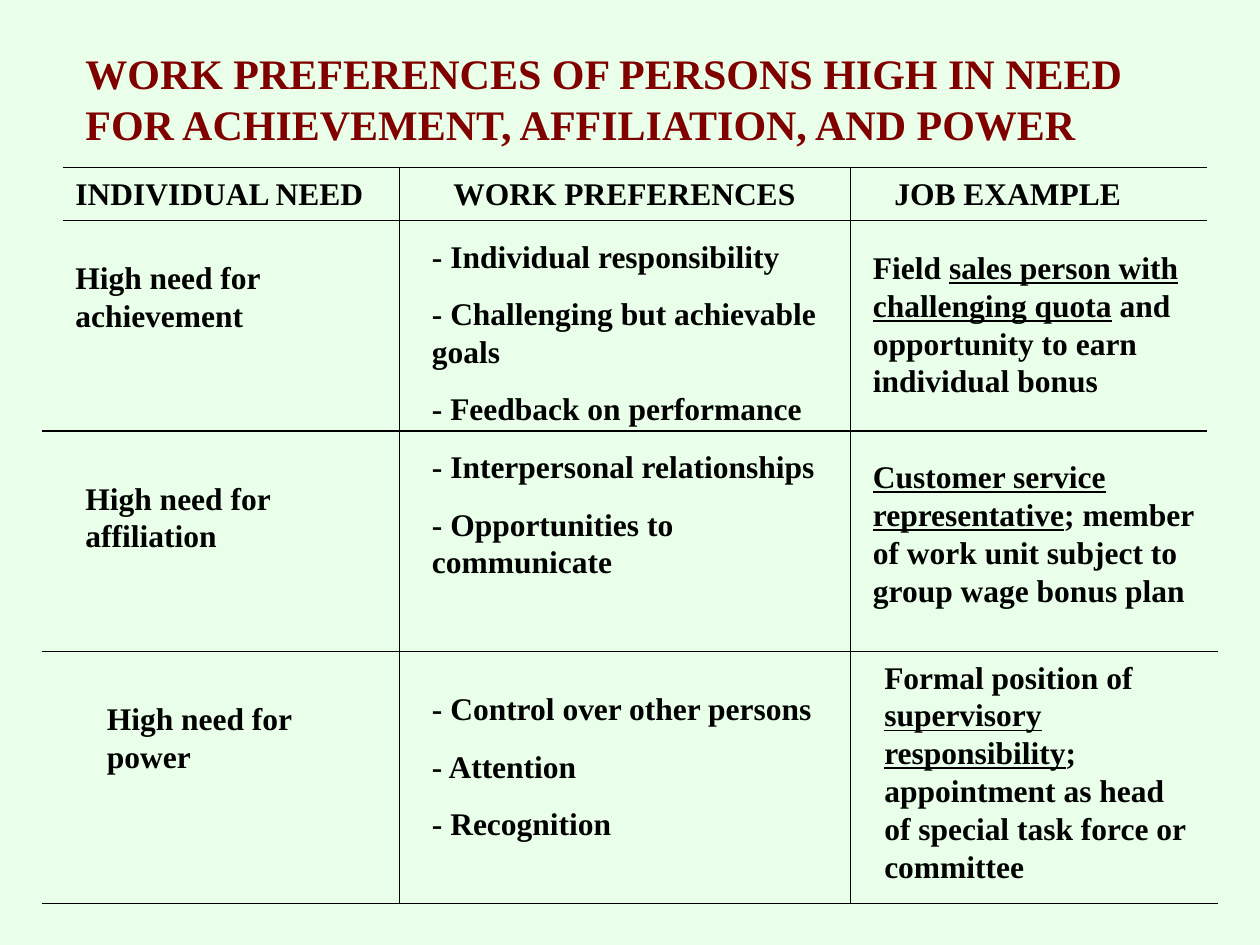
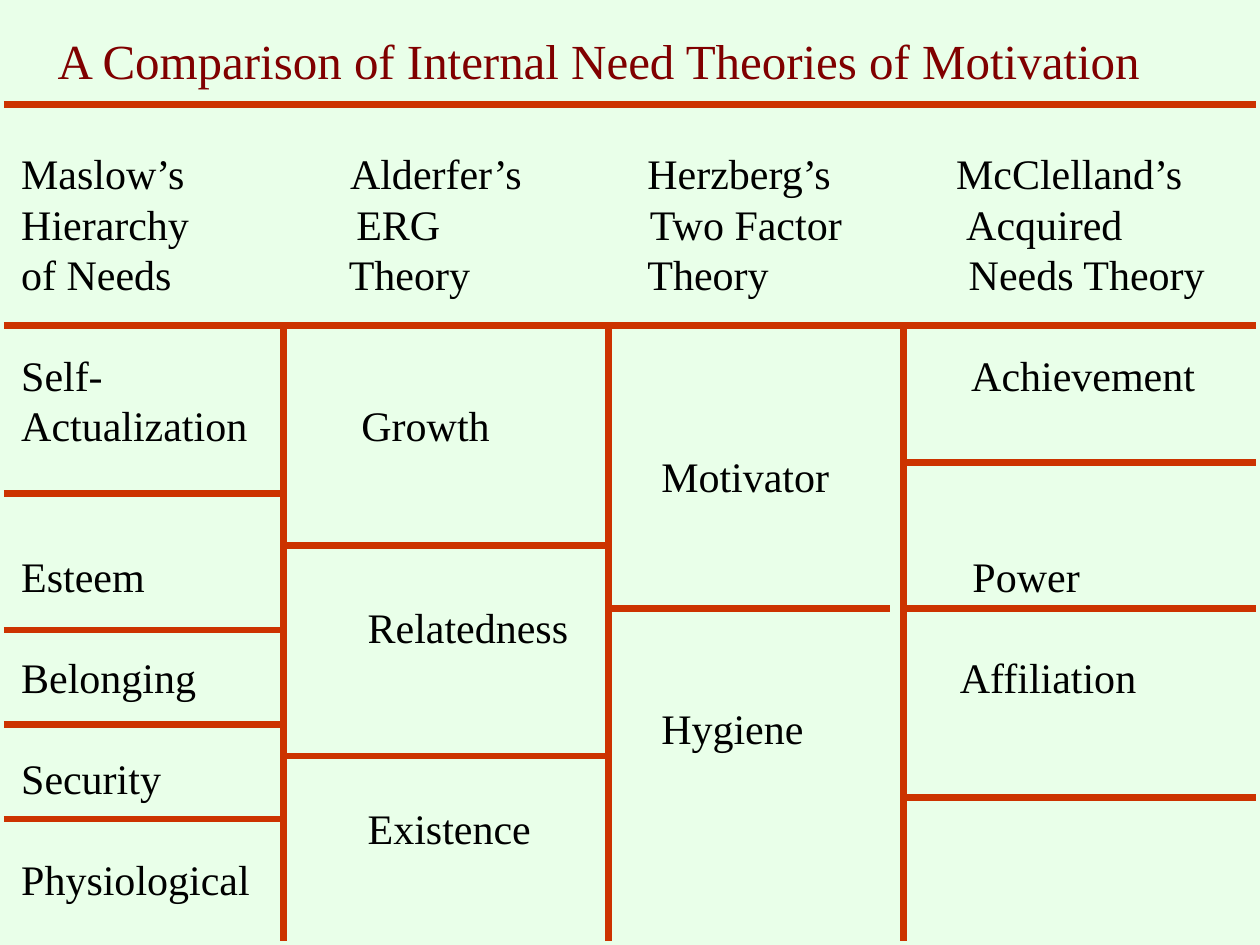
from lxml.etree import SubElement
from pptx import Presentation
from pptx.dml.color import RGBColor
from pptx.enum.shapes import MSO_CONNECTOR
from pptx.enum.text import MSO_AUTO_SIZE
from pptx.oxml.ns import qn
from pptx.util import Inches, Pt

MINT, MAROON, BLACK, RUST = "E9FFE9", "800000", "000000", "CC3300"
FACE = "Times New Roman"
TITLE = {"size": 24, "bold": True, "color": MAROON}
CELL = {"size": 18, "bold": True, "color": BLACK}
HEAD = {"size": 28, "bold": False, "color": MAROON}
BODY = {"size": 24, "bold": False, "color": BLACK}
THIN = {"color": BLACK, "width": 0.75}
THICK = {"color": RUST, "width": 4}
LEAD = 1.2


def paint(target, color):
    target.rgb = RGBColor.from_string(color)


def new_slide(deck):
    slide = deck.slides.add_slide(deck.slide_layouts[6])
    fill = slide.background.fill
    fill.solid()
    paint(fill.fore_color, MINT)
    return slide


def add_rule(slide, box, start, end, style):
    left, top = box[:2]
    rule = slide.shapes.add_connector(
        MSO_CONNECTOR.STRAIGHT,
        Inches(left + start[0]), Inches(top + start[1]),
        Inches(left + end[0]), Inches(top + end[1]))
    paint(rule.line.color, style["color"])
    rule.line.width = Pt(style["width"])
    SubElement(rule._element.spPr, qn("a:effectLst"))


def add_frame(slide, box):
    frame = slide.shapes.add_textbox(*map(Inches, box)).text_frame
    frame.word_wrap = True
    frame.auto_size = MSO_AUTO_SIZE.SHAPE_TO_FIT_TEXT
    return frame


def add_line(frame, text, style, gap=0, stops=(), indent=0):
    first = frame.paragraphs[0]
    line = frame.add_paragraph() if first.runs else first
    props = line._p.get_or_add_pPr()
    if indent:
        props.set("marL", str(Inches(indent)))
    if stops:
        tabs = SubElement(props, qn("a:tabLst"))
        for stop in stops:
            SubElement(tabs, qn("a:tab"), pos=str(Inches(stop)), algn="l")
    line.line_spacing = Pt(style["size"] * LEAD)
    line.space_before = Pt(gap)
    for index, part in enumerate(text.split("_")):
        if part:
            run = line.add_run()
            run.text = part
            form = {"name": FACE, "size": Pt(style["size"]),
                    "bold": style["bold"], "underline": index % 2 == 1}
            for name, value in form.items():
                setattr(run.font, name, value)
            paint(run.font.color, style["color"])


def add_cell(slide, box, place, lines):
    left, top, width, height = place
    frame = add_frame(slide, (box[0] + left, box[1] + top, width, height))
    for index, text in enumerate(lines):
        add_line(frame, text, CELL, 11.2 if index else 0)


def need_grid(slide, box):
    wide, high = box[2:]
    for start, end, y in [(0.17, 9.25, 0), (0.17, 9.25, 0.42),
                          (0, 9.25, 2.09), (0, wide, 3.84), (0, wide, high)]:
        add_rule(slide, box, (start, y), (end, y), THIN)
    for x in (2.84, 6.42):
        add_rule(slide, box, (x, 0), (x, high), THIN)

    frame = add_frame(slide, (box[0] + 0.17, box[1], 9.08, 0.4))
    add_line(frame, "INDIVIDUAL NEED\tWORK PREFERENCES\tJOB EXAMPLE",
             CELL, stops=(3, 6.5))

    cells = [
        ((0.17, 0.67, 2.5, 0.7), ["High need for achievement"]),
        ((0.25, 2.42, 2.42, 0.7), ["High need for affiliation"]),
        ((0.42, 4.17, 2.25, 0.7), ["High need for power"]),
        ((3, 0.5, 3.33, 1.62),
         ["- Individual responsibility", "- Challenging but achievable goals",
          "- Feedback on performance"]),
        ((3, 2.17, 3.25, 1.16),
         ["- Interpersonal relationships", "- Opportunities to communicate"]),
        ((3, 4.09, 3.25, 1.32),
         ["- Control over other persons", "- Attention", "- Recognition"]),
        ((6.5, 0.59, 2.92, 1.3),
         ["Field _sales person with challenging quota_ and opportunity"
          " to earn individual bonus"]),
        ((6.5, 2.25, 2.83, 1.3),
         ["_Customer service representative_; member of work unit subject"
          " to group wage bonus plan"]),
        ((6.59, 3.84, 2.67, 1.9),
         ["Formal position of _supervisory responsibility_; appointment"
          " as head of special task force or committee"]),
    ]
    for place, lines in cells:
        add_cell(slide, box, place, lines)


def theory_text(slide, box):
    frame = add_frame(slide, box)
    add_line(frame, "A Comparison of Internal Need Theories of Motivation",
             HEAD, indent=0.29)
    rows = [
        (33.6, "Maslow’s\tAlderfer’s\tHerzberg’s\tMcClelland’s",
         (2.61, 4.97, 7.42)),
        (0, "Hierarchy\tERG\tTwo Factor\tAcquired", (2.66, 4.99, 7.5)),
        (0, "of Needs\tTheory\tTheory\tNeeds Theory", (2.6, 4.97, 7.52)),
        (28.8, "Self-\tAchievement", (7.54,)),
        (0, "Actualization\tGrowth", (2.7,)),
        (0, "\tMotivator", (5.08,)),
        (28.8, "Esteem\tPower", (7.55,)),
        (0, "\tRelatedness", (2.75,)),
        (0, "Belonging\tAffiliation", (7.45,)),
        (0, "\tHygiene", (5.08,)),
        (0, "Security", ()),
        (0, "\tExistence", (2.75,)),
        (0, "Physiological", ()),
    ]
    for gap, text, stops in rows:
        add_line(frame, text, BODY, gap, stops)


def theory_grid(slide, box):
    wide, high = box[2:]
    for y in (0, 1.75):
        add_rule(slide, box, (0, y), (wide, y), THICK)
    for x in (2.22, 4.8, 7.14):
        add_rule(slide, box, (x, 1.78), (x, high), THICK)
    columns = [
        (0, 2.19, (3.09, 4.17, 4.92, 5.67)),
        (2.25, 4.78, (3.5, 5.17)),
        (4.83, 7.03, (4,)),
        (7.16, wide, (2.84, 4, 5.5)),
    ]
    for start, end, levels in columns:
        for y in levels:
            add_rule(slide, box, (start, y), (end, y), THICK)


def main():
    deck = Presentation()
    deck.slide_width, deck.slide_height = Inches(10), Inches(7.5)

    slide = new_slide(deck)
    frame = add_frame(slide, (0.58, 0.33, 9.17, 0.9))
    add_line(frame, "WORK PREFERENCES OF PERSONS HIGH IN NEED FOR"
             " ACHIEVEMENT, AFFILIATION, AND POWER", TITLE)
    need_grid(slide, (0.33, 1.33, 9.34, 5.84))

    slide = new_slide(deck)
    theory_text(slide, (0.07, 0.19, 9.7, 7.03))
    theory_grid(slide, (0.03, 0.83, 9.94, 6.64))

    deck.save("out.pptx")


if __name__ == "__main__":
    main()
